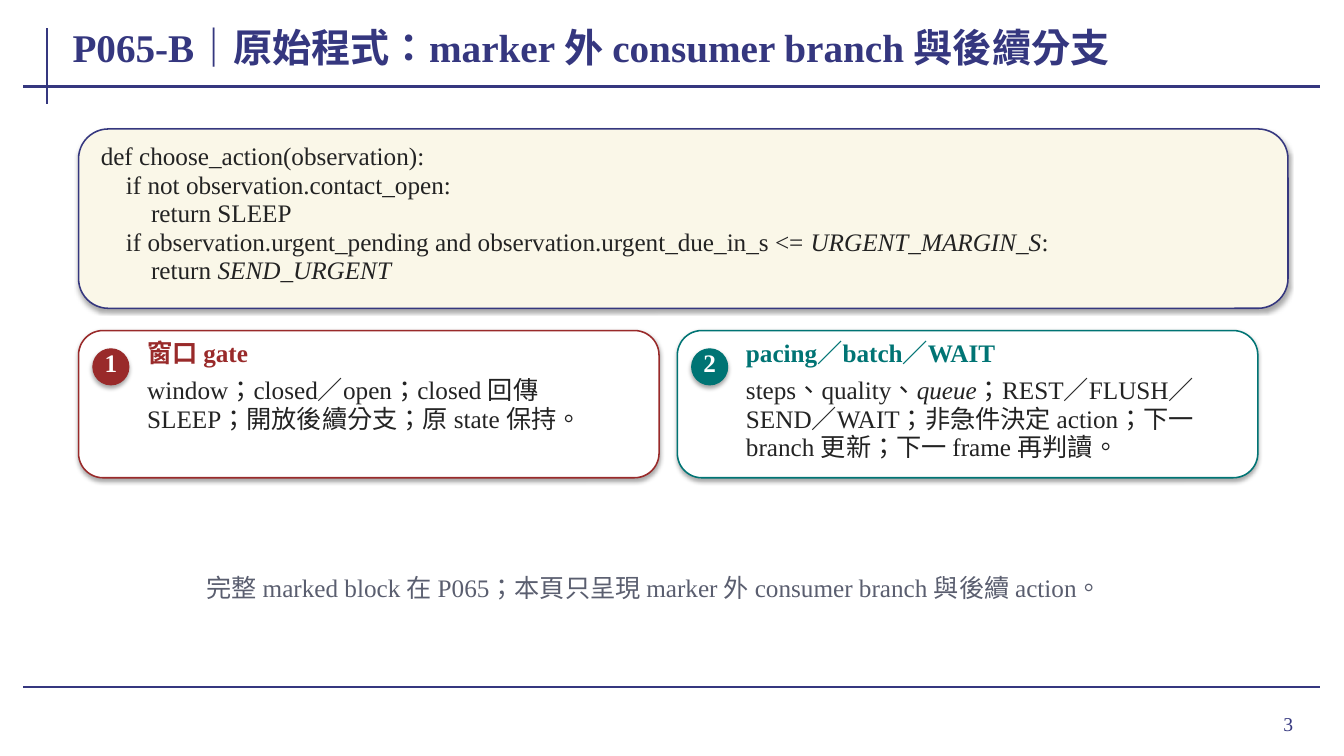
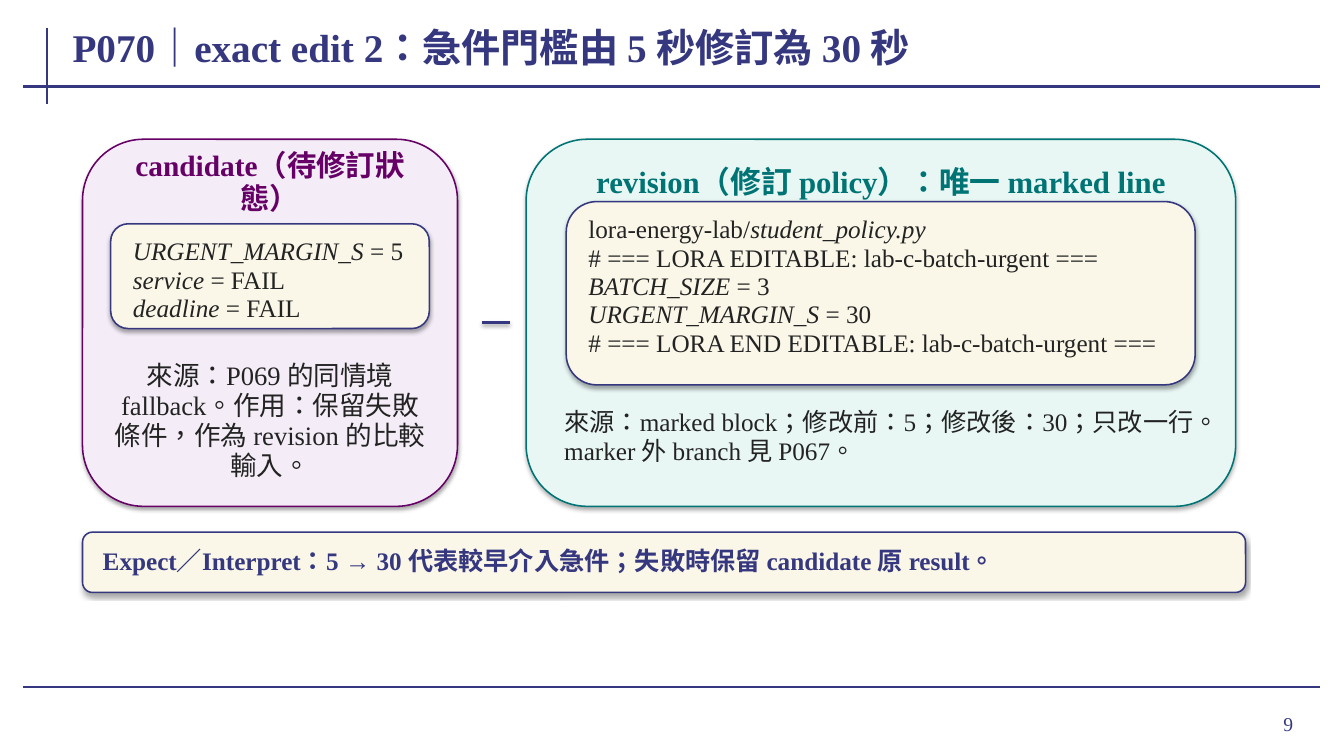
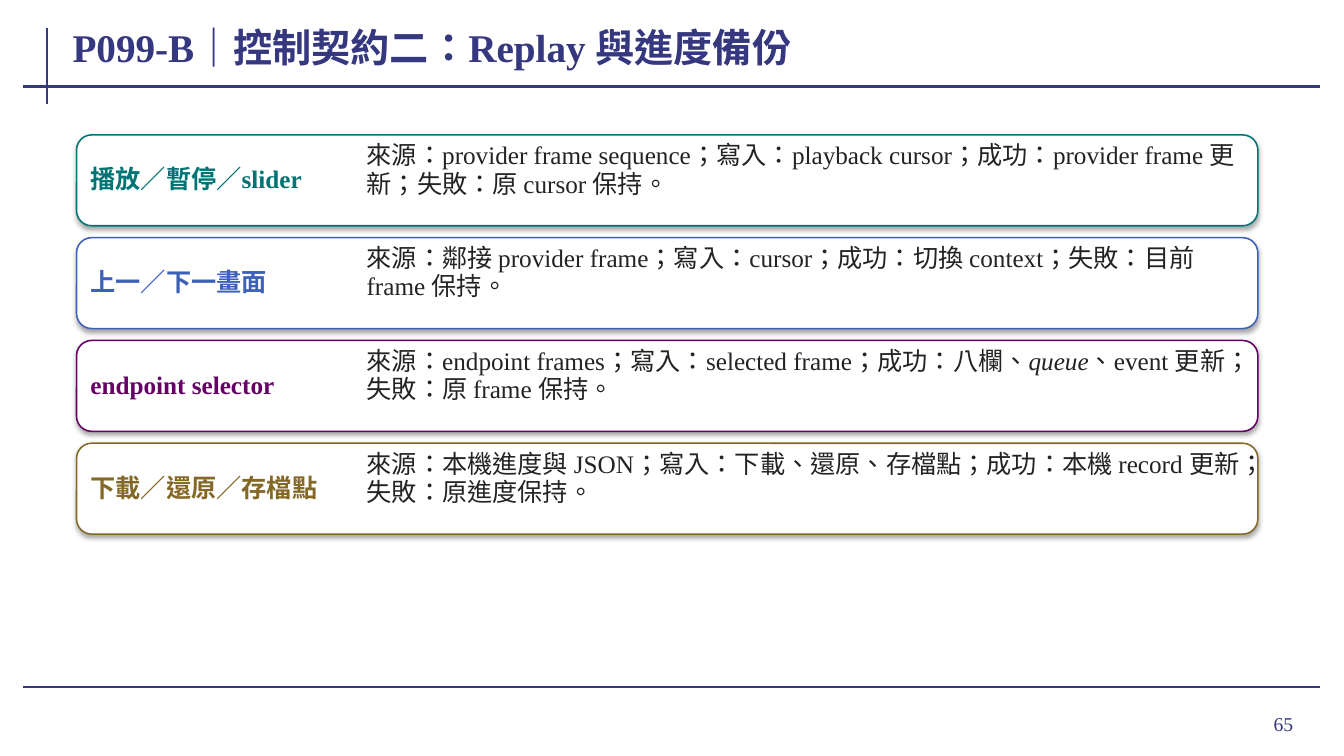
"""Build three lesson slides on code branches, an exact edit and control contracts."""
from dataclasses import dataclass
from typing import NamedTuple

from lxml.etree import SubElement
from pptx import Presentation
from pptx.dml.color import RGBColor
from pptx.enum.lang import MSO_LANGUAGE_ID
from pptx.enum.shapes import MSO_CONNECTOR, MSO_SHAPE
from pptx.enum.text import MSO_ANCHOR, MSO_AUTO_SIZE, PP_ALIGN
from pptx.oxml.ns import qn
from pptx.shapes.base import BaseShape
from pptx.slide import Slide
from pptx.util import Cm, Pt

NAVY = RGBColor(0x35, 0x37, 0x7F)
INK = RGBColor(0x23, 0x23, 0x23)
GREY = RGBColor(0x5A, 0x5E, 0x6F)
WHITE = RGBColor(0xFF, 0xFF, 0xFF)
CREAM = RGBColor(0xFA, 0xF7, 0xE8)
RED = RGBColor(0x99, 0x2A, 0x2A)
TEAL = RGBColor(0x00, 0x74, 0x74)
MINT = RGBColor(0xE8, 0xF7, 0xF4)
PURPLE = RGBColor(0x66, 0x00, 0x66)
LILAC = RGBColor(0xF4, 0xED, 0xF7)
BLUE = RGBColor(0x3D, 0x61, 0xB9)
BROWN = RGBColor(0x84, 0x68, 0x26)

FONT = "Times New Roman"


class Area(NamedTuple):
    left: float
    top: float
    width: float
    height: float

    def inset(self, across: float, down: float) -> "Area":
        return Area(self.left + across, self.top + down,
                    self.width - 2 * across, self.height - 2 * down)

    def lengths(self) -> list[Cm]:
        return [Cm(value) for value in self]


@dataclass(frozen=True)
class Style:
    color: RGBColor = INK
    size: float = 18
    bold: bool = False
    align: PP_ALIGN = PP_ALIGN.LEFT
    anchor: MSO_ANCHOR = MSO_ANCHOR.TOP
    fit: MSO_AUTO_SIZE = MSO_AUTO_SIZE.SHAPE_TO_FIT_TEXT


@dataclass(frozen=True)
class Card:
    color: RGBColor
    heading: str
    body: str


@dataclass(frozen=True)
class Version:
    area: Area
    fill: RGBColor
    color: RGBColor
    heading: str
    heading_area: Area
    heading_size: float
    code: list[str]
    code_area: Area
    body: str
    body_area: Area
    body_style: Style


BODY = Style()
TITLE = Style(NAVY, 28, True, anchor=MSO_ANCHOR.MIDDLE, fit=MSO_AUTO_SIZE.NONE)
NUMBER = Style(NAVY, 14, align=PP_ALIGN.RIGHT, anchor=MSO_ANCHOR.MIDDLE, fit=MSO_AUTO_SIZE.NONE)
BADGE = Style(WHITE, bold=True, align=PP_ALIGN.CENTER, anchor=MSO_ANCHOR.MIDDLE)
NOTE = Style(GREY, align=PP_ALIGN.CENTER, anchor=MSO_ANCHOR.MIDDLE)
SOURCE = Style(size=19, align=PP_ALIGN.CENTER, anchor=MSO_ANCHOR.MIDDLE)

FRAME_LINES = [(1.19, 0.71, 1.19, 2.62), (0.58, 2.18, 33.27, 2.18), (0.58, 17.32, 33.27, 17.32)]

BRANCH_CODE = [
    "def choose_action(observation):",
    "    if not observation.contact_open:",
    "        return SLEEP",
    "    if observation.urgent_pending and observation.urgent_due_in_s <= *URGENT_MARGIN_S*:",
    "        return *SEND_URGENT*",
]
BRANCH_CARDS = [
    Card(RED, "窗口 gate", "window；closed／open；closed 回傳 SLEEP；開放後續分支；原 state 保持。"),
    Card(TEAL, "pacing／batch／WAIT",
         "steps、quality、*queue*；REST／FLUSH／SEND／WAIT；非急件決定 action；"
         "下一 branch 更新；下一 frame 再判讀。"),
]
VERSIONS = [
    Version(Area(2.08, 3.51, 9.45, 9.25), LILAC, PURPLE,
            "candidate（待修訂狀態）", Area(2.64, 4.11, 8.33, 1.02), 21,
            ["*URGENT_MARGIN_S* = 5", "*service* = FAIL", "*deadline* = FAIL"],
            Area(2.79, 5.64, 8.03, 2.64),
            "來源：P069 的同情境 fallback。作用：保留失敗條件，作為 revision 的比較輸入。",
            Area(2.69, 9.7, 8.23, 1.83), SOURCE),
    Version(Area(13.26, 3.51, 17.88, 9.25), MINT, TEAL,
            "revision（修訂 policy）：唯一 marked line", Area(14.02, 4.11, 16.36, 1.02), 22,
            ["lora-energy-lab/*student_policy.py*",
             "# === LORA EDITABLE: lab-c-batch-urgent ===",
             "*BATCH_SIZE* = 3",
             "*URGENT_MARGIN_S* = 30",
             "# === LORA END EDITABLE: lab-c-batch-urgent ==="],
            Area(14.27, 5.08, 15.85, 4.62),
            "來源：marked block；修改前：5；修改後：30；只改一行。marker 外 branch 見 P067。",
            Area(14.12, 10.31, 16.1, 1.78), BODY),
]
CONTROLS = [
    Card(TEAL, "播放／暫停／slider",
         "來源：provider frame sequence；寫入：playback cursor；成功：provider frame 更新；"
         "失敗：原 cursor 保持。"),
    Card(BLUE, "上一／下一畫面",
         "來源：鄰接 provider frame；寫入：cursor；成功：切換 context；失敗：目前 frame 保持。"),
    Card(PURPLE, "endpoint selector",
         "來源：endpoint frames；寫入：selected frame；成功：八欄、*queue*、event 更新；"
         "失敗：原 frame 保持。"),
    Card(BROWN, "下載／還原／存檔點",
         "來源：本機進度與 JSON；寫入：下載、還原、存檔點；成功：本機 record 更新；"
         "失敗：原進度保持。"),
]


def heading_style(color: RGBColor, size: float = 18, align: PP_ALIGN = PP_ALIGN.LEFT) -> Style:
    return Style(color, size, True, align, MSO_ANCHOR.MIDDLE)


def set_shadow(shape: BaseShape, opacity: int = 0, distance: float = 1.8) -> None:
    properties = shape._element.spPr
    effects = properties.find(qn("a:effectLst"))
    if effects is None:
        effects = SubElement(properties, qn("a:effectLst"))
    if opacity:
        shadow = SubElement(effects, qn("a:outerShdw"), blurRad=str(Pt(3.1)),
                            dist=str(Pt(distance)), dir="5400000", rotWithShape="0")
        black = SubElement(shadow, qn("a:srgbClr"), val="000000")
        SubElement(black, qn("a:alpha"), val=str(opacity * 1000))


def add_text(page: Slide, area: Area, lines: list[str], style: Style,
             side: float = 0.1) -> None:
    box = page.shapes.add_textbox(*area.lengths())
    frame = box.text_frame
    frame_format = {
        "word_wrap": True, "auto_size": style.fit, "vertical_anchor": style.anchor,
        "margin_left": Cm(side), "margin_right": Cm(side), "margin_top": 0, "margin_bottom": 0,
    }
    for name, value in frame_format.items():
        setattr(frame, name, value)
    for index, line in enumerate(lines):
        para = frame.paragraphs[0] if index == 0 else frame.add_paragraph()
        para.alignment = style.align
        para.line_spacing = 0.94
        for position, piece in enumerate(line.split("*")):
            if not piece:
                continue
            span = para.add_run()
            span.text = piece
            font_format = {
                "name": FONT, "size": Pt(style.size), "bold": style.bold,
                "italic": position % 2 == 1,
                "language_id": MSO_LANGUAGE_ID.TRADITIONAL_CHINESE,
            }
            for name, value in font_format.items():
                setattr(span.font, name, value)
            span.font.color.rgb = style.color


def add_panel(page: Slide, area: Area, fill: RGBColor, outline: RGBColor,
              kind: MSO_SHAPE = MSO_SHAPE.ROUNDED_RECTANGLE, weight: float = 1.1) -> None:
    panel = page.shapes.add_shape(kind, *area.lengths())
    panel.shadow.inherit = False
    panel.fill.solid()
    panel.fill.fore_color.rgb = fill
    panel.line.color.rgb = outline
    panel.line.width = Pt(weight)
    set_shadow(panel, 35)


def add_line(page: Slide, ends: tuple[float, float, float, float], weight: float = 1.5,
             opacity: int = 0) -> None:
    line = page.shapes.add_connector(MSO_CONNECTOR.STRAIGHT, *[Cm(value) for value in ends])
    line.line.color.rgb = NAVY
    line.line.width = Pt(weight)
    set_shadow(line, opacity, 1.6)


def add_code(page: Slide, area: Area, lines: list[str]) -> None:
    add_panel(page, area, CREAM, NAVY)
    add_text(page, area.inset(0.46, 0.36), lines, BODY)


def add_page(deck: Presentation, title: str, number: int) -> Slide:
    page = deck.slides.add_slide(deck.slide_layouts[6])
    for ends in FRAME_LINES:
        add_line(page, ends)
    add_text(page, Area(30.38, 17.6, 2.46, 1.32), [str(number)], NUMBER, 0.25)
    add_text(page, Area(1.73, 0.46, 30.35, 1.57), [title], TITLE)
    return page


def add_branch_page(deck: Presentation) -> None:
    page = add_page(deck, "P065-B｜原始程式：marker 外 consumer branch 與後續分支", 3)
    add_code(page, Area(1.98, 3.25, 30.48, 4.52), BRANCH_CODE)
    top = 8.33
    for index, card in enumerate(BRANCH_CARDS):
        left = 1.98 + index * 15.09
        add_panel(page, Area(left, top, 14.63, 3.71), WHITE, card.color)
        add_panel(page, Area(left + 0.36, top + 0.46, 0.91, 0.91), card.color, card.color,
                  MSO_SHAPE.OVAL, 0.75)
        add_text(page, Area(left + 0.36, top + 0.41, 0.91, 0.86), [str(index + 1)], BADGE)
        add_text(page, Area(left + 1.63, top + 0.15, 12.6, 0.86), [card.heading],
                 heading_style(card.color))
        add_text(page, Area(left + 1.63, top + 1.17, 12.6, 2.44), [card.body], BODY)
    add_text(page, Area(2.29, 14.48, 28.4, 0.71),
             ["完整 marked block 在 P065；本頁只呈現 marker 外 consumer branch 與後續 action。"], NOTE)


def add_edit_page(deck: Presentation) -> None:
    page = add_page(deck, "P070｜exact edit 2：急件門檻由 5 秒修訂為 30 秒", 9)
    for version in VERSIONS:
        add_panel(page, version.area, version.fill, version.color)
        add_text(page, version.heading_area, [version.heading],
                 heading_style(version.color, version.heading_size, PP_ALIGN.CENTER))
        add_code(page, version.code_area, version.code)
        add_text(page, version.body_area, [version.body], version.body_style)
    add_line(page, (12.14, 8.13, 12.85, 8.13), 2, 38)
    summary = Area(2.08, 13.41, 29.31, 1.52)
    add_panel(page, summary, CREAM, NAVY)
    add_text(page, summary.inset(0.41, 0.15),
             ["Expect／Interpret：5 → 30 代表較早介入急件；失敗時保留 candidate 原 result。"],
             heading_style(NAVY))


def add_control_page(deck: Presentation) -> None:
    page = add_page(deck, "P099-B｜控制契約二：Replay 與進度備份", 65)
    for index, control in enumerate(CONTROLS):
        top = 3.4 + index * 2.59
        add_panel(page, Area(1.93, top, 29.77, 2.29), WHITE, control.color)
        add_text(page, Area(2.18, top + 0.15, 6.76, 1.98), [control.heading],
                 heading_style(control.color))
        add_text(page, Area(9.14, top + 0.18, 22.25, 1.93), [control.body], BODY)


def main() -> None:
    deck = Presentation()
    deck.slide_width = Cm(33.87)
    deck.slide_height = Cm(19.05)
    add_branch_page(deck)
    add_edit_page(deck)
    add_control_page(deck)
    deck.save("out.pptx")


if __name__ == "__main__":
    main()
